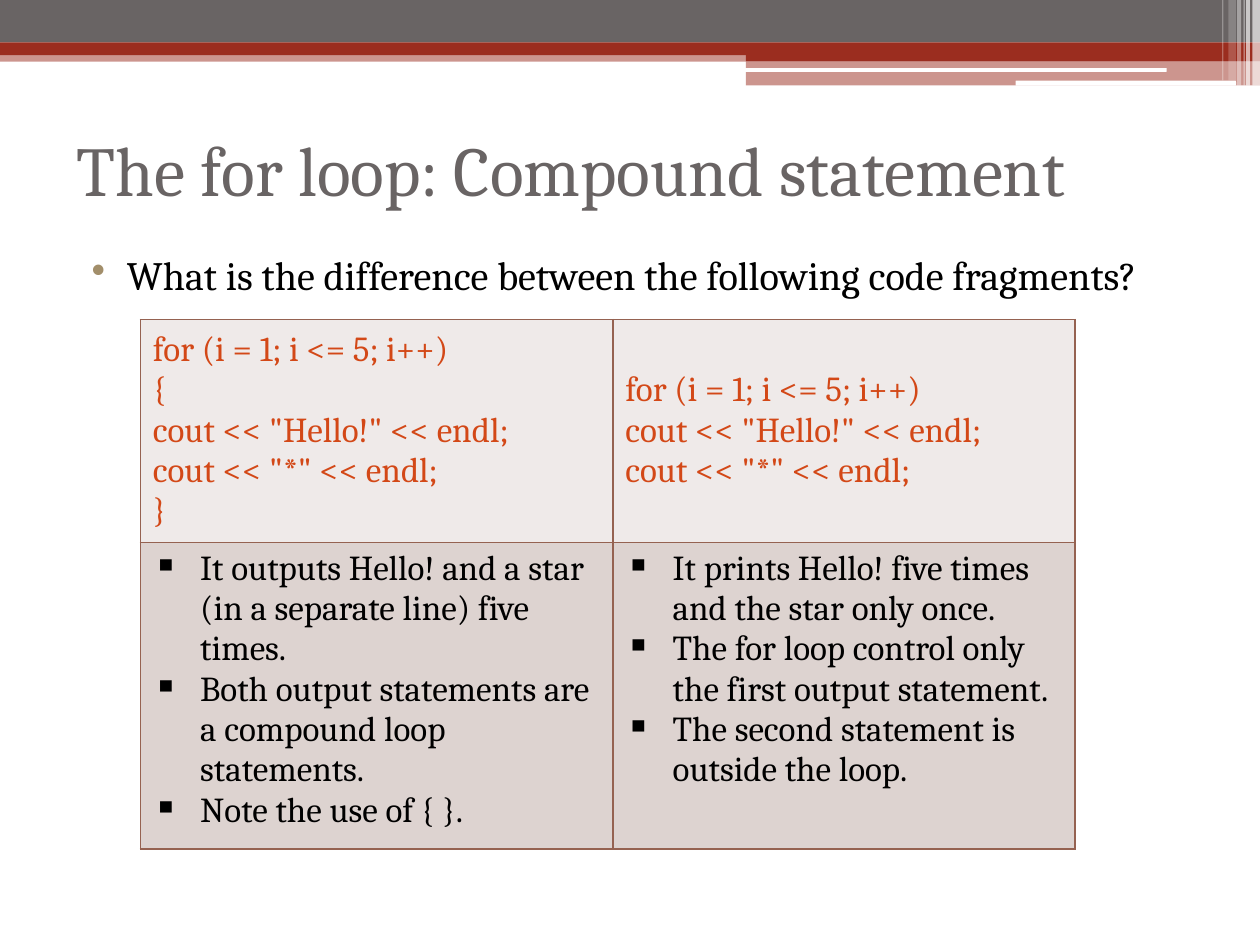
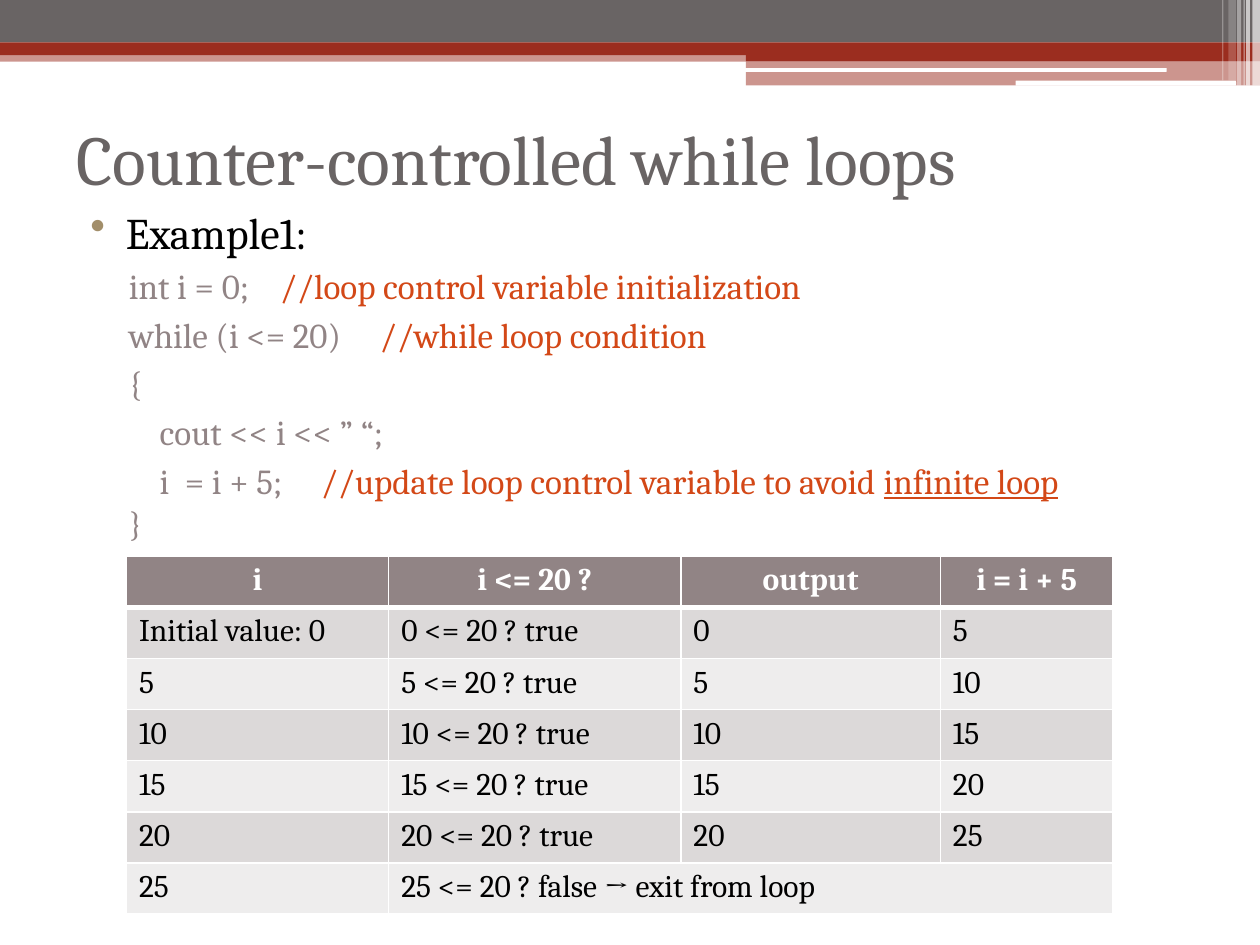
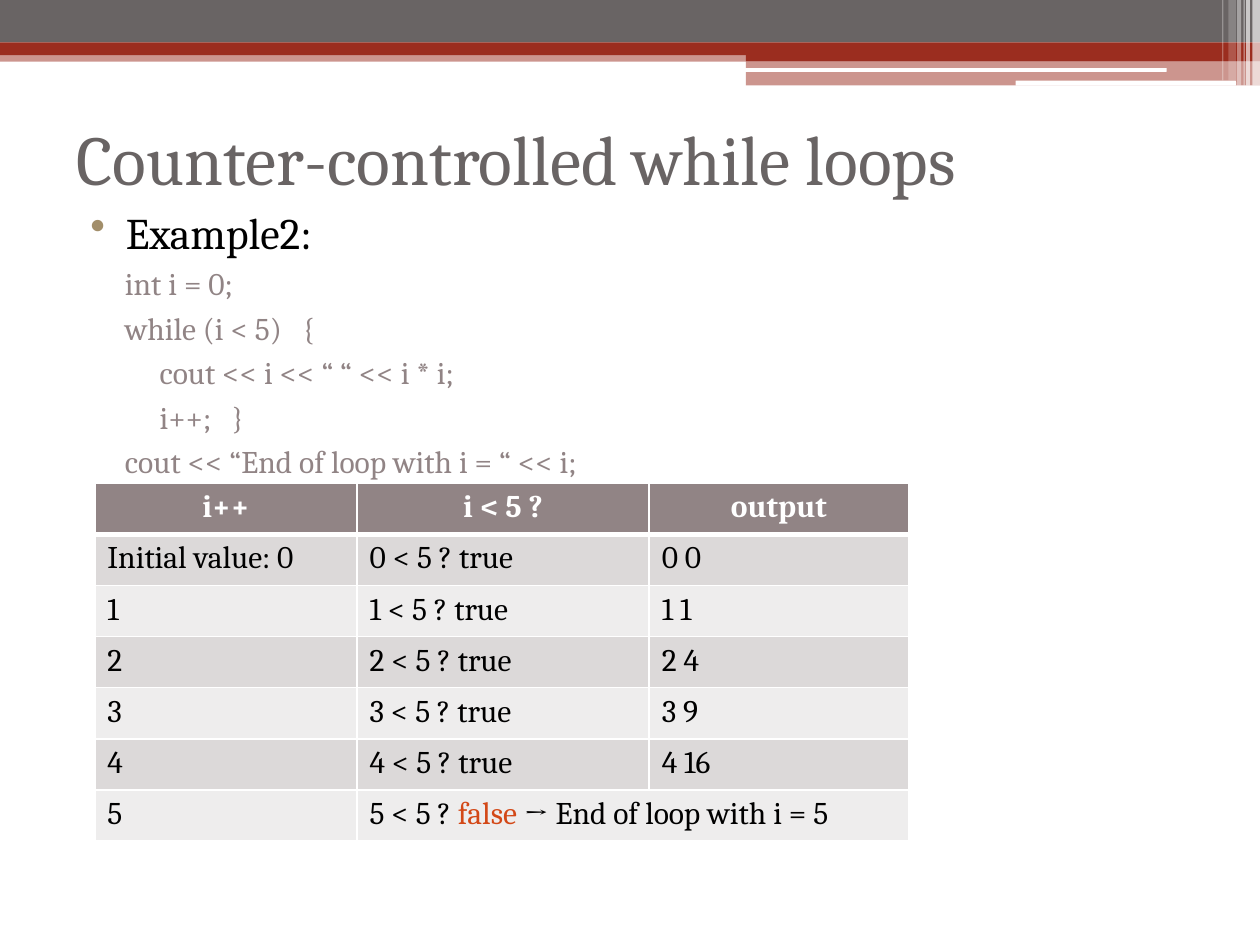
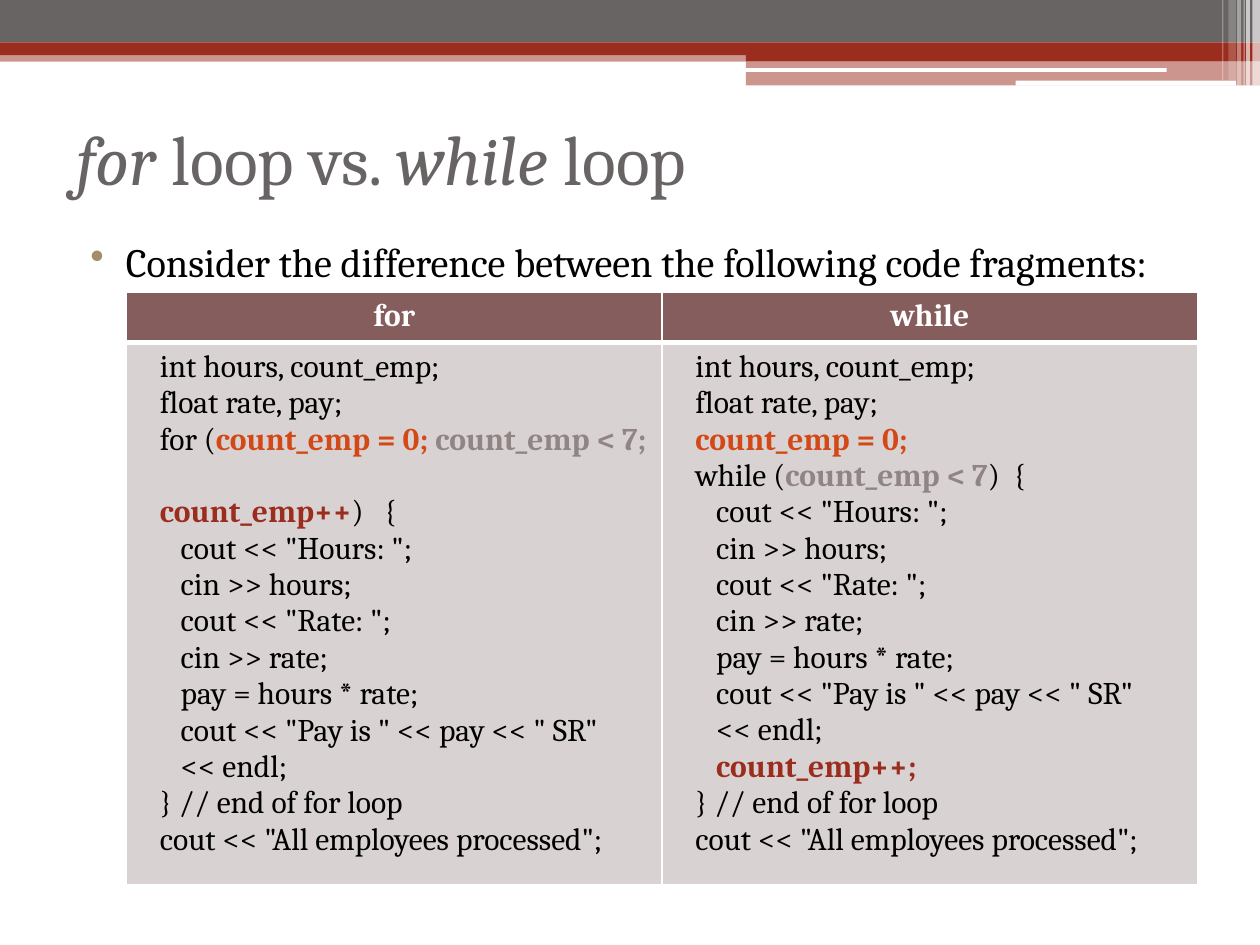
from dataclasses import dataclass

from lxml.etree import SubElement as Sub
from pptx import Presentation
from pptx.dml.color import RGBColor as Rgb
from pptx.enum.shapes import MSO_SHAPE as Kind
from pptx.enum.text import MSO_ANCHOR as Anchor, PP_ALIGN as Align
from pptx.oxml.ns import qn
from pptx.util import Pt


@dataclass(frozen=True)
class Theme:
    font: str = "Cambria"
    white: str = "FFFFFF"
    black: str = "000000"
    slate: str = "696464"
    brick: str = "9B2D1F"
    flame: str = "D34817"
    mauve: str = "918485"
    wine: str = "855D5D"
    tan: str = "A28E6A"
    rust: str = "956251"
    pale: str = "EFEAE9"
    blush: str = "DDD3D0"
    dark: str = "DCD9D9"
    light: str = "EEEDED"
    rose: str = "D9D2D2"
    title: float = 40
    lead: float = 25
    ask: float = 23
    code: float = 20
    cell: float = 18
    gap: float = 3.8


T = Theme()
PAGE = (0, 0, 720, 540)


def points(*sizes):
    return [Pt(size) for size in sizes]


def block(slide, kind, box, tone, alpha=100):
    shape = slide.shapes.add_shape(kind, *points(*box))
    shape.shadow.inherit = False
    shape.line.fill.background()
    shape.fill.solid()
    shape.fill.fore_color.rgb = Rgb.from_string(tone)
    if alpha < 100:
        color = next(shape.element.spPr.iter(qn("a:srgbClr")))
        Sub(color, qn("a:alpha"), val=str(alpha * 1000))
    return shape


def banner(slide, box):
    x, y, w, h = box
    half = 426.2
    bands = [
        (0, 28.8, T.brick, 6.5, 50),
        (0, 0, T.slate, 24.3, 100),
        (0, 24.3, T.brick, 7.2, 100),
        (half, 28.1, T.brick, 6.9, 100),
        (half, 35, T.brick, 13.8, 50),
    ]
    for left, top, tone, high, alpha in bands:
        block(slide, Kind.RECTANGLE, (x + left, y + top, w - left, high), tone, alpha)
    for left, top, wide, high in [(425.5, 38.9, 241.2, 2.2), (580.3, 46.1, 126, 2.9)]:
        block(slide, Kind.ROUNDED_RECTANGLE, (x + left, y + top, wide, high), T.white)
    stripes = [
        (4.3, 4.3, 49, 65), (7.9, 2.2, 49, 65), (9.4, 0.7, 49, 60),
        (13, 2.2, 49, 40), (18, 4.3, 46, 20), (21.6, 0.7, 46, 30),
    ]
    for back, wide, high, alpha in stripes:
        block(slide, Kind.RECTANGLE, (x + w - back, y, wide, high), T.white, alpha)


def style(run, size, tone, flags=""):
    font = run.font
    font.name, font.size = T.font, Pt(size)
    font.color.rgb = Rgb.from_string(tone)
    font.bold, font.italic = "b" in flags, "i" in flags
    font.underline = "u" in flags


def write(para, bits, size, tone, flags=""):
    if isinstance(bits, str):
        para.text = bits
        for run in para.runs:
            style(run, size, tone, flags)
        return
    for bit in bits:
        text, *look = (bit, tone, flags) if isinstance(bit, str) else bit
        for row, line in enumerate(text.split("\n")):
            if row:
                para.add_line_break()
            if line:
                run = para.add_run()
                run.text = line
                style(run, size, *look)


def indent(para, left, hang=0):
    props = para._p.get_or_add_pPr()
    props.set("marL", str(Pt(left)))
    props.set("indent", str(Pt(-hang)))
    return props


def bullet(para, mark, left, hang, tone):
    props = indent(para, left, hang)
    Sub(Sub(props, qn("a:buClr")), qn("a:srgbClr"), val=tone)
    Sub(props, qn("a:buChar"), char=mark)


def frame(slide, box):
    body = slide.shapes.add_textbox(*points(*box)).text_frame
    body.word_wrap = True
    return body


def heading(slide, box, bits):
    body = frame(slide, box)
    body.vertical_anchor = Anchor.MIDDLE
    write(body.paragraphs[0], bits, T.title, T.slate)


def prose(slide, box, lead, size, code=(), small=T.code, align=Align.LEFT):
    body = frame(slide, box)
    para = body.paragraphs[0]
    bullet(para, "•", 28.8, 20.2, T.tan)
    para.alignment = align
    write(para, lead, size, T.black)
    for bits in code:
        para = body.add_paragraph()
        indent(para, 8.6)
        para.space_before = Pt(T.gap)
        write(para, bits, small, T.mauve)


def border(cell, tone, base=1):
    props = cell._tc.get_or_add_tcPr()
    for side in "LRTB":
        width = base if side == "B" else 1
        line = Sub(props, qn("a:ln" + side), w=str(Pt(width)))
        Sub(Sub(line, qn("a:solidFill")), qn("a:srgbClr"), val=tone)


def grid(slide, spot, cols, rows, head=True):
    size = (sum(cols), sum(rows))
    shape = slide.shapes.add_table(len(rows), len(cols), *points(*spot, *size))
    table = shape.table
    table.first_row, table.horz_banding = head, False
    for col, wide in zip(table.columns, cols):
        col.width = Pt(wide)
    for row, high in zip(table.rows, rows):
        row.height = Pt(high)
    return table


def paint(cell, fill, edge=T.white, base=1):
    border(cell, edge, base)
    cell.fill.solid()
    cell.fill.fore_color.rgb = Rgb.from_string(fill)


def fill_in(cell, paras, size, tone, flags="", align=Align.LEFT, mark=None):
    body = cell.text_frame
    for n, bits in enumerate(paras):
        para = body.add_paragraph() if n else body.paragraphs[0]
        if mark:
            bullet(para, mark, 27, 27, tone)
        para.alignment = align
        write(para, bits, size, tone, flags)


def header(table, names, fill):
    for cell, name in zip(table.rows[0].cells, names):
        paint(cell, fill, base=3)
        fill_in(cell, [name], T.cell, T.white, "b", Align.CENTER)


def trace(slide, spot, cols, names, rows):
    table = grid(slide, spot, cols, [29.25] * (len(rows) + 1))
    header(table, names, T.mauve)
    for r, row in enumerate(rows, 1):
        for cell in table.rows[r].cells:
            paint(cell, T.dark if r % 2 else T.light)
        if len(row) < len(cols):
            table.cell(r, len(row) - 1).merge(table.cell(r, len(cols) - 1))
        for c, bits in enumerate(row):
            fill_in(table.cell(r, c), [bits], T.cell, T.black)


def contrast(slide, spot, codes, notes):
    table = grid(slide, spot, [270, 264], [126, 168.5], False)
    for c, (code, note) in enumerate(zip(codes, notes)):
        top, low = table.cell(0, c), table.cell(1, c)
        paint(top, T.pale, T.rust)
        paint(low, T.blush, T.rust)
        top.vertical_anchor = Anchor.MIDDLE
        fill_in(top, code, T.code, T.flame)
        fill_in(low, note, T.code, T.black, mark="▪")


def versus(slide, spot, names, codes):
    table = grid(slide, spot, [306, 306], [28, 298])
    header(table, names, T.wine)
    for cell, code in zip(table.rows[1].cells, codes):
        paint(cell, T.rose)
        fill_in(cell, code, T.cell, T.black)
    return table


def compound(slide):
    heading(slide, (36.7, 54, 648, 84.2), "The for loop: Compound statement")
    ask = "What is the difference between the following code fragments?"
    prose(slide, (36.7, 139.7, 648, 364.3), ask, T.ask, align=Align.JUSTIFY)
    loop = "for (i = 1; i <= 5; i++)"
    hello, star = 'cout << "Hello!" << endl;', 'cout << "*" << endl;'
    codes = [[loop, "{", hello, star, "}"], [loop + "\n" + hello, star]]
    notes = [
        [
            "It outputs Hello! and a star (in a separate line) five times.",
            "Both output statements are a compound loop statements.",
            "Note the use of { }.",
        ],
        [
            "It prints Hello! five times and the star only once.",
            "The for loop control only the first output statement.",
            "The second statement is outside the loop.",
        ],
    ]
    contrast(slide, (80.2, 182.6), codes, notes)


def counter(slide, lead, code, small):
    heading(slide, (36.7, 48.2, 648, 84.2), "Counter-controlled while loops")
    prose(slide, (36, 113.8, 648, 391.7), lead, T.lead, code, small)


def fives(slide):
    code = [
        ["     int i = 0;    ", ("//loop control variable initialization", T.flame)],
        ["     while (i <= 20)     ", ("//while loop condition", T.flame)],
        "     {",
        "         cout << i << ” “;",
        [
            "         i  = i + 5;     ",
            ("//update loop control variable to avoid ", T.flame),
            ("infinite loop", T.flame, "u"),
            "\n     }",
        ],
    ]
    counter(slide, "Example1:", code, T.code)
    rows = [
        (str(n) if n else "Initial value: 0", f"{n} <= 20 ? true", str(n), str(n + 5))
        for n in range(0, 21, 5)
    ]
    rows.append(("25", "25 <= 20 ? false → exit from loop"))
    names = ["i", "i <= 20 ?", "output", "i = i + 5"]
    trace(slide, (72.3, 317.8), [149.8, 167, 148.3, 98.6], names, rows)


def squares(slide):
    code = [
        "     int i = 0;",
        "     while (i < 5)   {",
        "          cout << i << “ “ << i * i;",
        "          i++;   }",
        "     cout << “End of loop with i = “ << i;",
    ]
    counter(slide, "Example2:", code, T.cell)
    rows = [
        (str(n) if n else "Initial value: 0", f"{n} < 5 ? true", f"{n} {n * n}")
        for n in range(5)
    ]
    rows.append(("5", ["5 < 5 ? ", ("false", T.flame), " → End of loop with i = 5"]))
    names = ["i++", "i < 5 ?", "output"]
    trace(slide, (54.2, 276.1), [149.8, 167, 148.3], names, rows)


def compare(slide):
    title = [("for", T.slate, "i"), " loop vs. ", ("while", T.slate, "i"), " loop"]
    heading(slide, (36.7, 48.2, 648, 84.2), title)
    ask = "Consider the difference between the following code fragments:"
    prose(slide, (36, 131.8, 648, 373.7), ask, T.ask, align=Align.JUSTIFY)
    start = "   int hours, count_emp;\n   float rate, pay;\n   "
    pad = "\n      "
    work = pad + pad.join([
        'cout << "Hours: ";',
        "cin >> hours;",
        'cout << "Rate: ";',
        "cin >> rate;",
        "pay = hours * rate;",
        'cout << "Pay is " << pay << " SR"',
    ])
    flush = "      << endl;"
    end = '\n   } // end of for loop\n   cout << "All employees processed";'
    codes = [
        [
            [start + "for (", ("count_emp = 0; ", T.flame, "b"),
             ("count_emp < 7;", T.mauve, "b")],
            ["   ", ("count_emp++", T.brick, "b"), ")   {" + work],
            flush + end,
        ],
        [
            [start, ("count_emp = 0;", T.flame, "b"), "\n   while (",
             ("count_emp < 7", T.mauve, "b"), ")  {" + work],
            [flush + pad, ("count_emp++;", T.brick, "b"), end],
        ],
    ]
    table = versus(slide, (72.3, 167), ["for", "while"], codes)
    table.cell(1, 0).text_frame.paragraphs[1].space_before = Pt(20.8)


def main():
    deck = Presentation()
    deck.slide_width, deck.slide_height = points(*PAGE[2:])
    for build in (compound, fives, squares, compare):
        slide = deck.slides.add_slide(deck.slide_layouts[6])
        banner(slide, PAGE)
        build(slide)
    deck.save("out.pptx")


if __name__ == "__main__":
    main()
